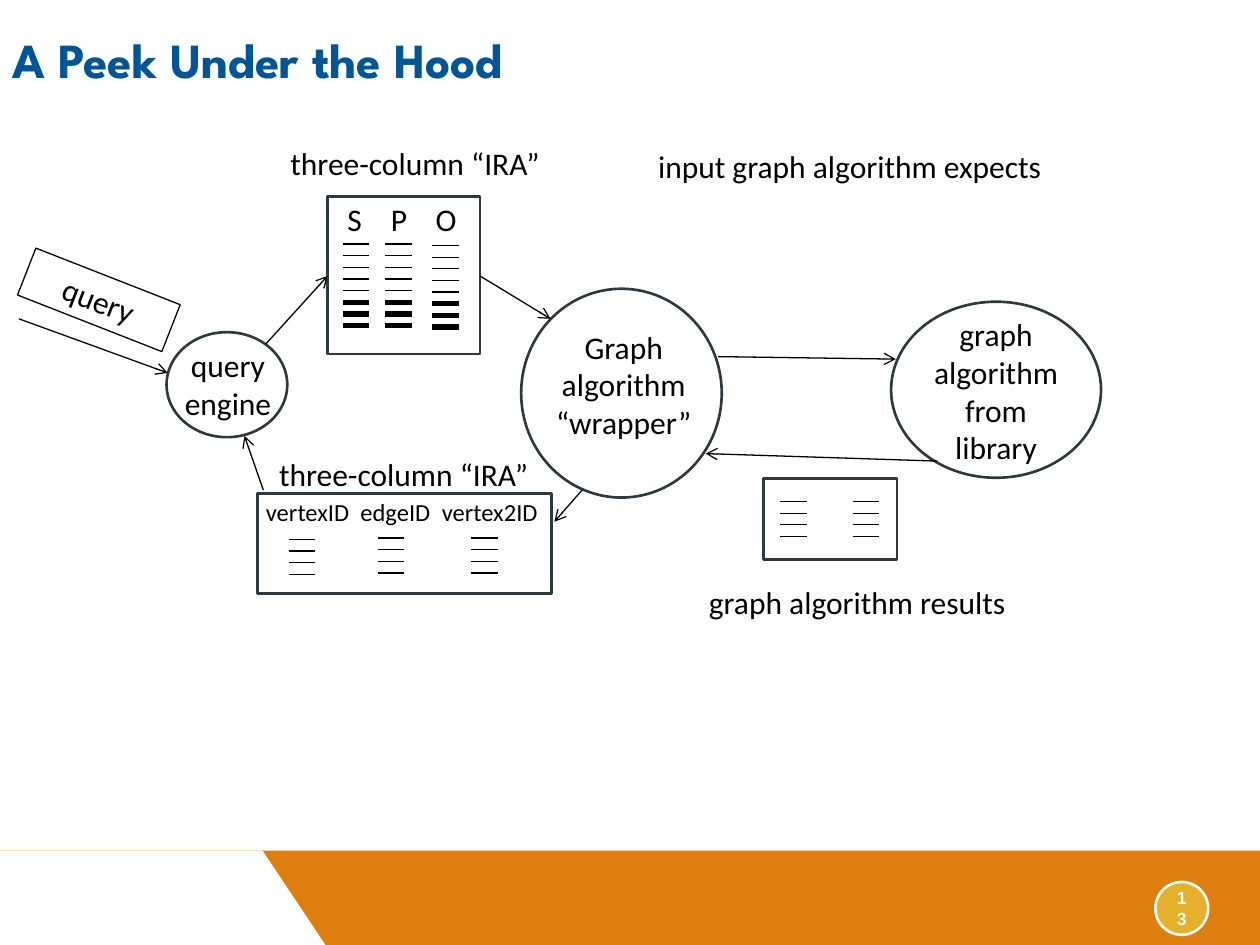
from dataclasses import dataclass

from lxml.etree import SubElement
from pptx import Presentation
from pptx.dml.color import RGBColor as Rgb
from pptx.enum.shapes import MSO_CONNECTOR as Link, MSO_SHAPE as Preset
from pptx.enum.text import MSO_ANCHOR as Anchor, MSO_AUTO_SIZE as AutoSize, PP_ALIGN as Align
from pptx.oxml.ns import qn
from pptx.util import Pt


@dataclass(frozen=True)
class Theme:
    orange: str = "DD7E0E"
    gold: str = "E5B02B"
    white: str = "FFFFFF"
    blue: str = "005596"
    slate: str = "2D393F"
    black: str = "000000"
    title_font: str = "League Spartan"
    body_font: str = "Calibri"
    number_font: str = "Arial"
    title_size: float = 28
    body_size: float = 18
    column_size: float = 14
    number_size: float = 10
    thin: float = 0.75
    border: float = 1.5
    thick: float = 3


theme = Theme()
ROW_GAP = 6.65
CELL_WIDTH = 15.1


def style_text(frame, text, size=theme.body_size, font=theme.body_font,
               color=theme.black, bold=False, align=Align.CENTER):
    frame.text = text
    frame.word_wrap = True
    paragraph = frame.paragraphs[0]
    paragraph.alignment = align
    for run in paragraph.runs:
        run.font.size, run.font.name, run.font.bold = Pt(size), font, bold
        run.font.color.rgb = Rgb.from_string(color)
    return paragraph


def paint(shape, fill=None, line=None, width=theme.border):
    shape.shadow.inherit = False
    if fill:
        shape.fill.solid()
        shape.fill.fore_color.rgb = Rgb.from_string(fill)
    else:
        shape.fill.background()
    if line:
        shape.line.color.rgb = Rgb.from_string(line)
        shape.line.width = Pt(width)
    else:
        shape.line.fill.background()
    return shape


def add_preset(slide, preset, box, **look):
    return paint(slide.shapes.add_shape(preset, *map(Pt, box)), **look)


def add_label(slide, box, text):
    label = slide.shapes.add_textbox(*map(Pt, box))
    style_text(label.text_frame, text)


def add_line(slide, start, end, width=theme.thin, arrow=False):
    line = slide.shapes.add_connector(Link.STRAIGHT, *map(Pt, (*start, *end)))
    line.line.color.rgb = Rgb.from_string(theme.black)
    line.line.width = Pt(width)
    properties = line._element.spPr
    if arrow:
        SubElement(properties.find(qn("a:ln")), qn("a:tailEnd"), type="arrow")
    SubElement(properties, qn("a:effectLst"))


def add_footer(slide, box, number):
    left, top, width, height = box
    add_preset(slide, Preset.RECTANGLE, box, fill=theme.orange)
    # White slanted corner
    corner = slide.shapes.build_freeform(Pt(left), Pt(top))
    corner.add_line_segments([(Pt(left + x), Pt(top + y)) for x, y in
                              ((150, 0), (186, height), (0, height))])
    paint(corner.convert_to_shape(), fill=theme.white)
    # Page number badge
    badge = add_preset(slide, Preset.OVAL, (left + width - 59.8, top + 18, 30.2, 30.2),
                       fill=theme.gold, line=theme.white)
    badge.text_frame.vertical_anchor = Anchor.MIDDLE
    style_text(badge.text_frame, number, theme.number_size, theme.number_font,
               theme.white, bold=True)


def add_title(slide, box, text):
    title = slide.shapes.title
    title.left, title.top, title.width, title.height = map(Pt, box)
    frame = title.text_frame
    frame.auto_size = AutoSize.NONE
    frame.vertical_anchor = Anchor.MIDDLE
    heading = style_text(frame, text, theme.title_size, theme.title_font,
                         theme.blue, bold=True, align=Align.LEFT)
    heading.line_spacing = 0.9


def add_node(slide, box, text, text_box):
    """Ellipse with a label whose box is relative to the ellipse."""
    add_preset(slide, Preset.OVAL, box, line=theme.slate)
    dx, dy, width, height = text_box
    add_label(slide, (box[0] + dx, box[1] + dy, width, height), text)


def add_array(slide, box, columns, thin_rows, thick_rows=0):
    """Framed array; each column is the offset of its first row."""
    left, top, _, _ = box
    add_preset(slide, Preset.RECTANGLE, box, line=theme.slate)
    for dx, dy in columns:
        for row in range(thin_rows + thick_rows):
            x, y = left + dx, top + dy + row * ROW_GAP
            add_line(slide, (x, y), (x + CELL_WIDTH, y),
                     theme.thin if row < thin_rows else theme.thick)


def add_headers(slide, box, names, starts, size):
    """Column names of an array, set at tab stops."""
    left, top, width, _ = box
    header = slide.shapes.add_textbox(Pt(left + starts[0]), Pt(top - 1.5),
                                      Pt(width - starts[0]), Pt(size + 10))
    frame = header.text_frame
    frame.margin_left = frame.margin_right = 0
    paragraph = style_text(frame, "\t".join(names), size, align=Align.LEFT)
    stops = SubElement(paragraph._p.get_or_add_pPr(), qn("a:tabLst"))
    for start in starts[1:]:
        SubElement(stops, qn("a:tab"), pos=str(Pt(start - starts[0])), algn="l")


def add_query(slide, box):
    query = add_preset(slide, Preset.RECTANGLE, box, line=theme.black, width=theme.thin)
    query.rotation = 21.4
    style_text(query.text_frame, "query")


def add_flow(slide):
    # Processing steps
    add_query(slide, (12.2, 157, 88.6, 28.8))
    add_node(slide, (95.2, 189.8, 69, 60), "query engine", (-5.2, 4.6, 80.6, 51.1))
    add_node(slide, (297.8, 165, 114.6, 119.3), "Graph algorithm “wrapper”",
             (6.8, 18.6, 103.7, 72.7))
    add_node(slide, (509.2, 172.4, 120, 100.6), "graph algorithm from library",
             (13.5, 4, 92.9, 94.3))

    # Arrays passed between the steps
    triples = (187.2, 112.3, 87.1, 90)
    add_array(slide, triples, ((8.6, 27.2), (33.1, 27.2), (59.8, 28)), 5, 3)
    add_headers(slide, triples, "SPO", (11.3, 36.2, 61.7), theme.body_size)
    edges = (147, 282, 168, 57)
    add_array(slide, edges, ((18, 26.2), (69, 25.5), (122.3, 25.5)), 4)
    add_headers(slide, edges, ("vertexID", "edgeID", "vertex2ID"),
                (5, 59, 105.5), theme.column_size)
    add_array(slide, (436.4, 273.6, 76.3, 46), ((9.4, 13), (51, 13)), 4)

    # Captions
    for box, caption in (
            ((151.2, 78.5, 172, 28.8), "three-column “IRA”"),
            ((144.7, 256.3, 172, 28.8), "three-column “IRA”"),
            ((368.6, 80.6, 234, 28.8), "input graph algorithm expects"),
            ((375.8, 329.8, 228.2, 28.8), "graph algorithm results")):
        add_label(slide, box, caption)

    # Arrows in the order of the flow
    for start, end in (
            ((10.8, 182.2), (95.8, 213.1)),
            ((151.9, 196.6), (187.2, 157.7)),
            ((274.3, 157.7), (314.6, 182.2)),
            ((410.4, 203.8), (511.9, 205.2)),
            ((535.7, 263.5), (403.2, 259.2)),
            ((332.6, 280.1), (316.8, 298.1)),
            ((150.5, 280.1), (139.7, 249.1))):
        add_line(slide, start, end, arrow=True)


deck = Presentation()
deck.slide_width, deck.slide_height = Pt(720), Pt(540)
hood = deck.slides.add_slide(deck.slide_layouts[5])
add_footer(hood, (0, 486, 720, 54), "13")
add_title(hood, (0, 11.5, 690, 48.2), "A Peek Under the Hood")
add_flow(hood)
deck.save("out.pptx")
